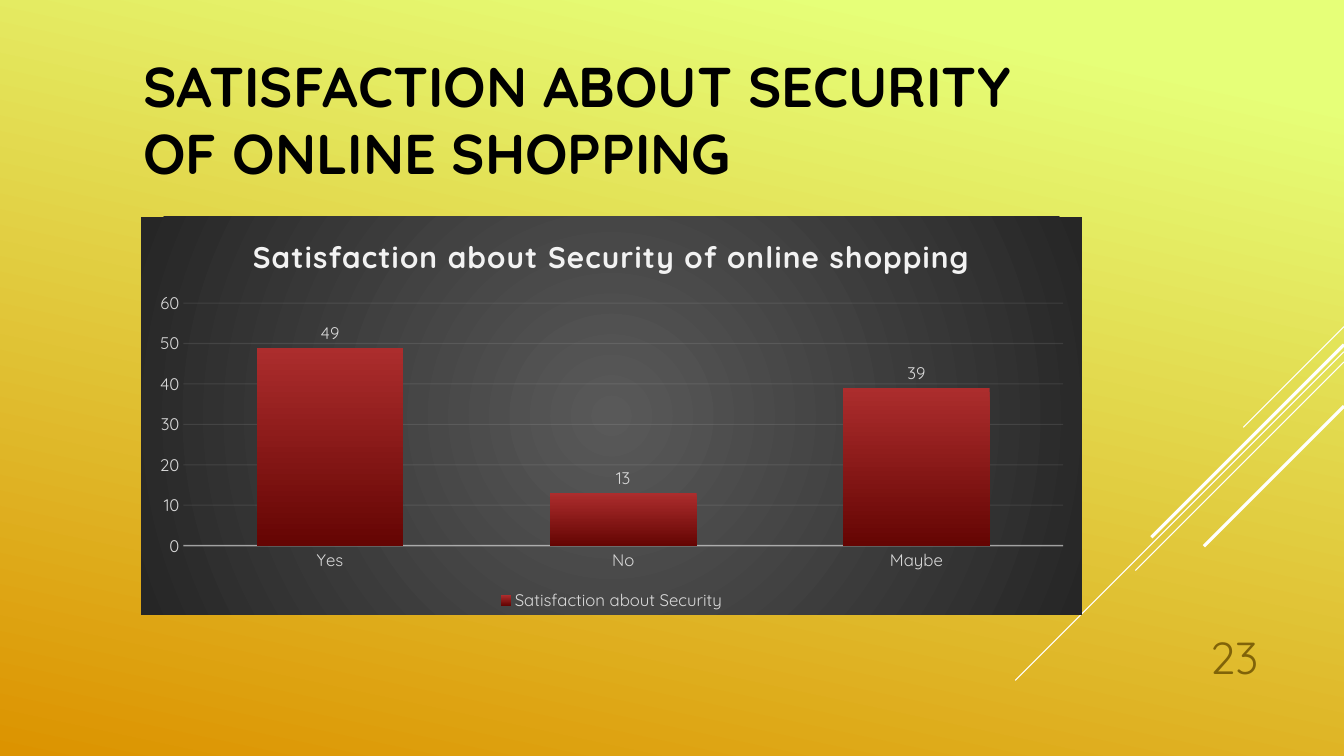
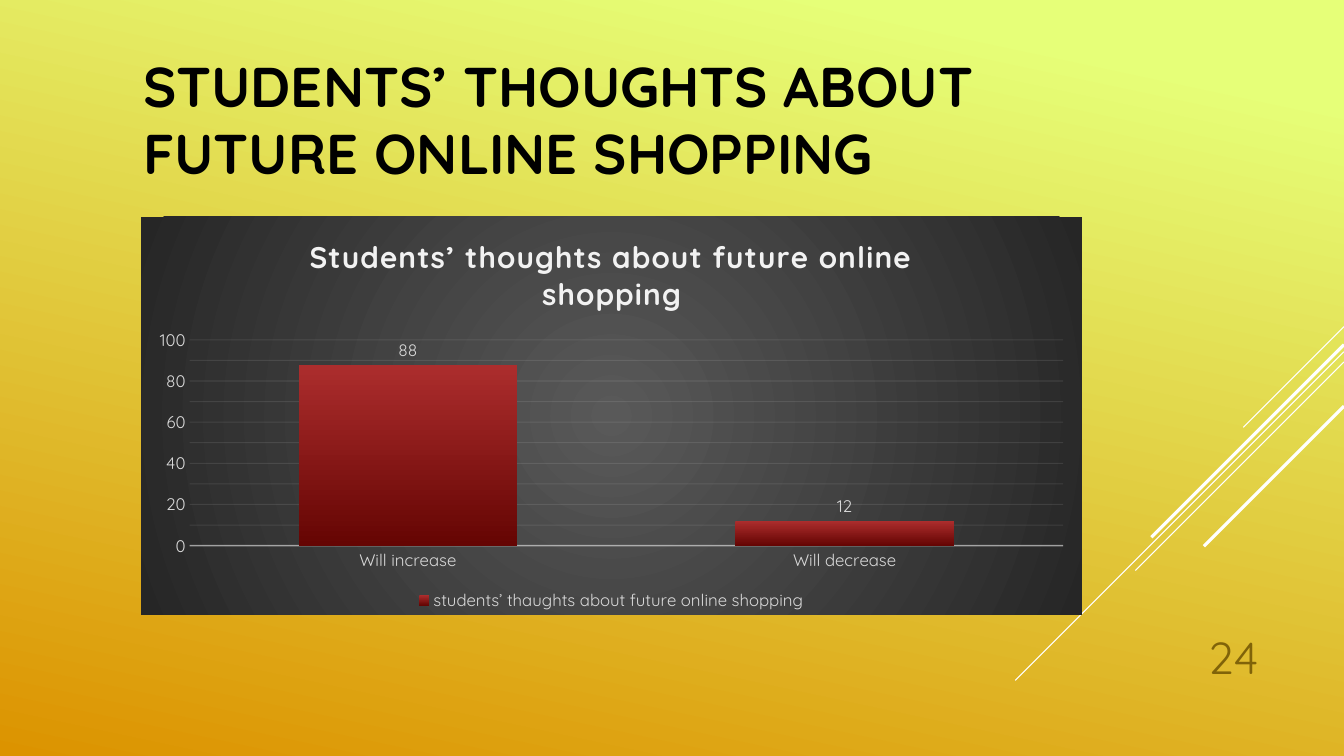
from dataclasses import dataclass

from lxml.etree import SubElement
from pptx import Presentation
from pptx.chart.chart import Chart
from pptx.chart.data import CategoryChartData
from pptx.dml.color import RGBColor
from pptx.dml.fill import FillFormat
from pptx.enum.chart import XL_CHART_TYPE, XL_LABEL_POSITION, XL_LEGEND_POSITION, XL_TICK_MARK
from pptx.enum.shapes import MSO_CONNECTOR
from pptx.enum.text import MSO_ANCHOR, MSO_AUTO_SIZE, PP_ALIGN
from pptx.oxml import parse_xml
from pptx.oxml.ns import nsdecls, qn
from pptx.slide import Slide
from pptx.text.text import Font, TextFrame
from pptx.util import Inches, Pt

FONT = "Quicksand"
BLACK = RGBColor(0x00, 0x00, 0x00)
WHITE = RGBColor(0xFF, 0xFF, 0xFF)
LIME = RGBColor(0xE6, 0xFF, 0x78)
AMBER = RGBColor(0xDC, 0x93, 0x00)
OLIVE = RGBColor(0x80, 0x63, 0x09)
RED = RGBColor(0xAC, 0x2D, 0x2D)
MAROON = RGBColor(0x65, 0x05, 0x03)
SILVER = RGBColor(0xD9, 0xD9, 0xD9)
PALE = RGBColor(0xF2, 0xF2, 0xF2)
GREY = RGBColor(0x59, 0x59, 0x59)
CHARCOAL = RGBColor(0x26, 0x26, 0x26)

WIDTH, HEIGHT = Inches(13.333), Inches(7.5)


@dataclass(frozen=True)
class Area:
    """A rectangle in percent of the slide's width and height."""
    left: float
    top: float
    width: float
    height: float

    def box(self) -> tuple[int, int, int, int]:
        return (across(self.left), down(self.top), across(self.width), down(self.height))


@dataclass(frozen=True)
class Ray:
    """A 45° line from the right edge; lengths in percent of the slide's height."""
    top: float
    run: float
    weight: float


@dataclass(frozen=True)
class Survey:
    number: int
    title: str
    chart_title: str
    series: str
    answers: dict[str, int]
    maximum: int


TITLE_AREA = Area(9.9, 4.67, 70, 22)
CHART_AREA = Area(10.5, 28.67, 70, 52.67)
NUMBER_AREA = Area(85, 81.33, 9.38, 9.73)

RAYS = [
    Ray(43.2, 13.33, 0.75),
    Ray(46.53, 43.47, 0.75),
    Ray(47.87, 27.6, 0.75),
    Ray(45.6, 25.47, 2.25),
    Ray(53.73, 18.53, 2.25),
]

SURVEYS = [
    Survey(23, "SATISFACTION ABOUT SECURITY OF ONLINE SHOPPING",
           "Satisfaction about Security of online shopping",
           "Satisfaction about Security",
           {"Yes": 49, "No": 13, "Maybe": 39}, 60),
    Survey(24, "STUDENTS’ THOUGHTS ABOUT FUTURE ONLINE SHOPPING",
           "Students’ thoughts about future online shopping",
           "students’ thaughts about future online shopping",
           {"Will increase": 88, "Will decrease": 12}, 100),
]


def across(percent: float) -> int:
    return round(WIDTH * percent / 100)


def down(percent: float) -> int:
    return round(HEIGHT * percent / 100)


def style(font: Font, size: float, color: RGBColor, bold: bool = False) -> None:
    font.name, font.size, font.bold = FONT, Pt(size), bold
    font.color.rgb = color


def write(tf: TextFrame, text: str, size: float, color: RGBColor,
          align: PP_ALIGN, anchor: MSO_ANCHOR, bold: bool = False) -> None:
    tf.word_wrap = True
    tf.auto_size = MSO_AUTO_SIZE.NONE
    tf.vertical_anchor = anchor
    p = tf.paragraphs[0]
    p.alignment = align
    r = p.add_run()
    r.text = text
    style(r.font, size, color, bold)


def shade(fill: FillFormat, start: RGBColor, end: RGBColor,
          clockwise: float, first: float = 0) -> None:
    fill.gradient()
    fill.gradient_angle = 360 - clockwise
    for stop, color, position in zip(fill.gradient_stops, (start, end), (first, 1)):
        stop.color.rgb, stop.position = color, position


def add_rays(s: Slide) -> None:
    for ray in RAYS:
        line = s.shapes.add_connector(
            MSO_CONNECTOR.STRAIGHT, WIDTH, down(ray.top),
            WIDTH - down(ray.run), down(ray.top + ray.run))
        line.line.color.rgb = WHITE
        line.line.width = Pt(ray.weight)
        SubElement(line._element.spPr, qn("a:effectLst"))


def fade_line(line, width: float, opacity: int) -> None:
    line.color.rgb = PALE
    line.width = Pt(width)
    color = line._ln.find(".//" + qn("a:srgbClr"))
    SubElement(color, qn("a:alpha"), val=str(opacity * 1000))


def add_backdrop(chart: Chart) -> None:
    """Fill the chart area with a gradient that spreads from its centre."""
    stops = "".join(f'<a:gs pos="{pos}"><a:srgbClr val="{color}"/></a:gs>'
                    for pos, color in ((0, GREY), (100000, CHARCOAL)))
    sp_pr = parse_xml(
        f'<c:spPr {nsdecls("c", "a")}><a:gradFill><a:gsLst>{stops}</a:gsLst>'
        '<a:path path="circle"><a:fillToRect l="50000" t="50000" r="50000" b="50000"/>'
        '</a:path></a:gradFill><a:ln><a:noFill/></a:ln></c:spPr>')
    chart._chartSpace.chart.addnext(sp_pr)


def format_axes(chart: Chart, maximum: int) -> None:
    for axis in (chart.category_axis, chart.value_axis):
        axis.major_tick_mark = axis.minor_tick_mark = XL_TICK_MARK.NONE
        style(axis.tick_labels.font, 12, SILVER)
    fade_line(chart.category_axis.format.line, 1, 54)
    values = chart.value_axis
    values.minimum_scale, values.maximum_scale, values.major_unit = 0, maximum, 10
    values.format.line.fill.background()
    fade_line(values.major_gridlines.format.line, 0.75, 10)


def add_survey_chart(s: Slide, survey: Survey) -> None:
    data = CategoryChartData()
    data.categories = list(survey.answers)
    data.add_series(survey.series, list(survey.answers.values()))
    chart = s.shapes.add_chart(
        XL_CHART_TYPE.COLUMN_CLUSTERED, *CHART_AREA.box(), data).chart
    style(chart.font, 10, WHITE)
    add_backdrop(chart)

    # Title with widened letter spacing
    chart.has_title = True
    r = chart.chart_title.text_frame.paragraphs[0].add_run()
    r.text = survey.chart_title
    style(r.font, 21.3, PALE, bold=True)
    r.font._element.set("spc", "100")
    chart.chart_title.include_in_layout = False

    # Legend
    chart.has_legend = True
    chart.legend.position = XL_LEGEND_POSITION.BOTTOM
    chart.legend.include_in_layout = False
    style(chart.legend.font, 12, SILVER)

    format_axes(chart, survey.maximum)

    # Columns and their values
    plot = chart.plots[0]
    plot.gap_width, plot.overlap, plot.vary_by_categories = 100, -24, False
    shade(plot.series[0].format.fill, RED, MAROON, 90)
    labels = plot.series[0].data_labels
    labels.show_value = True
    labels.position = XL_LABEL_POSITION.OUTSIDE_END
    style(labels.font, 12, SILVER)


def add_survey_slide(prs: Presentation, survey: Survey) -> None:
    s = prs.slides.add_slide(prs.slide_layouts[5])
    add_rays(s)
    title = s.shapes.title
    title.left, title.top, title.width, title.height = TITLE_AREA.box()
    write(title.text_frame, survey.title, 40, BLACK,
          PP_ALIGN.LEFT, MSO_ANCHOR.MIDDLE, bold=True)
    add_survey_chart(s, survey)
    number = s.shapes.add_textbox(*NUMBER_AREA.box())
    write(number.text_frame, str(survey.number), 32, OLIVE,
          PP_ALIGN.RIGHT, MSO_ANCHOR.BOTTOM)


def main() -> None:
    prs = Presentation()
    prs.slide_width, prs.slide_height = WIDTH, HEIGHT
    shade(prs.slide_master.background.fill, LIME, AMBER, 102, first=0.1)
    for survey in SURVEYS:
        add_survey_slide(prs, survey)
    prs.save("out.pptx")


if __name__ == "__main__":
    main()
